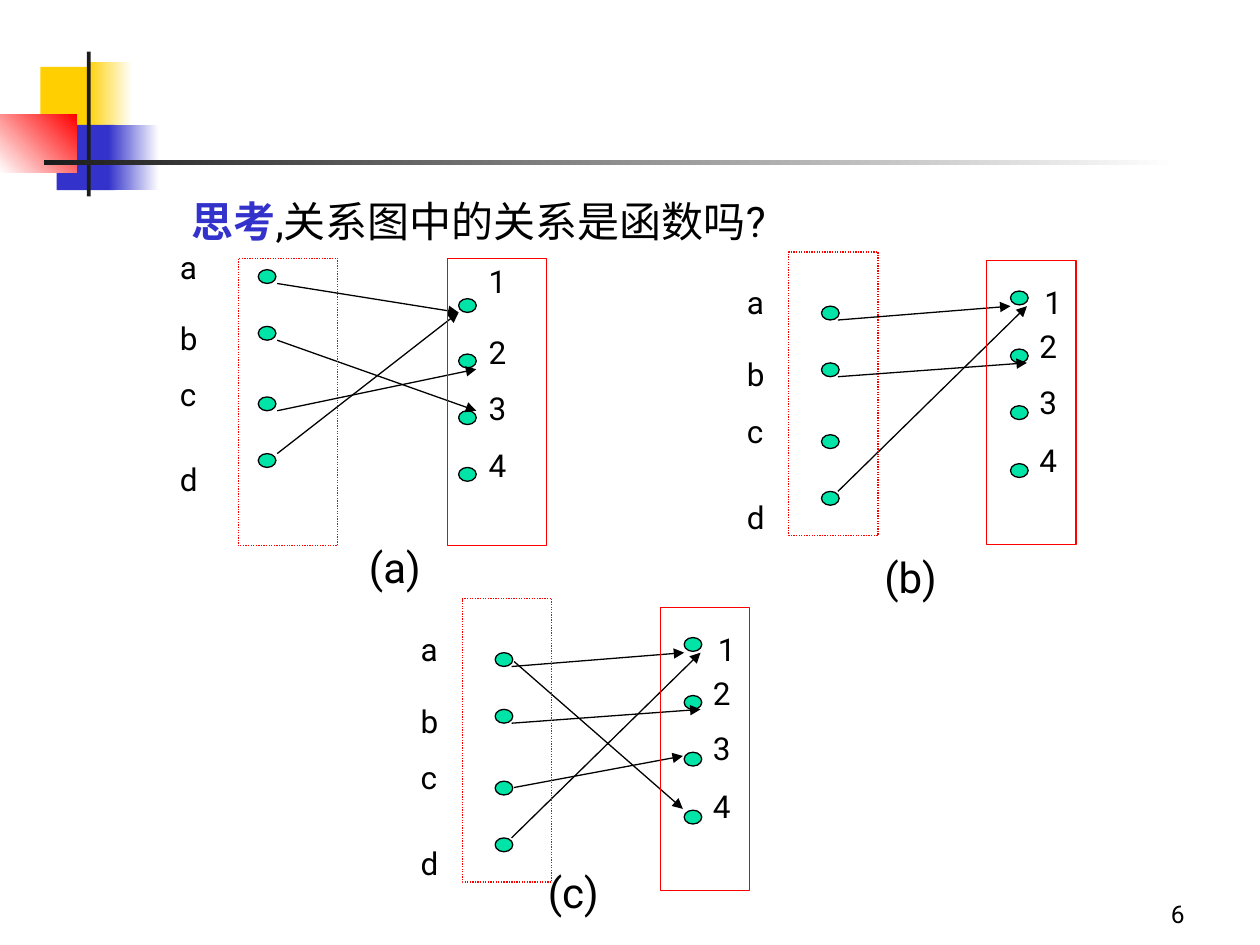
from dataclasses import dataclass

from lxml.etree import SubElement
from pptx import Presentation
from pptx.dml.color import RGBColor
from pptx.enum.dml import MSO_LINE as Dash
from pptx.enum.shapes import MSO_CONNECTOR as Connector, MSO_SHAPE as Shape
from pptx.enum.text import MSO_ANCHOR as Anchor, MSO_AUTO_SIZE as AutoSize, PP_ALIGN as Align
from pptx.oxml.ns import qn
from pptx.util import Pt

EMU_PER_PX = 9144  # 100 px to the inch
BLACK, WHITE, DARK = "000000", "FFFFFF", "1C1C1C"
YELLOW, BLUE, RED, GREEN = "FFCF01", "3333CC", "FF0000", "00E4A8"


def px(*lengths):
    return [length * EMU_PER_PX for length in lengths]


def color(hex_string):
    return RGBColor.from_string(hex_string)


@dataclass
class Diagram:
    frames: list        # left and right outline
    letters: list       # places of a to d
    numbers: list       # places of 1 to 4
    left_dots: list
    right_dots: list
    arrows: list        # x1, y1, x2, y2
    caption: tuple      # left, top, text


class Page:
    font = "Roboto"

    def __init__(self, deck):
        self.slide = deck.slides.add_slide(deck.slide_layouts[5])
        self.shapes = self.slide.shapes

    def run(self, para, text, size, hex_color=BLACK, bold=False):
        span = para.add_run()
        span.text = text
        span.font.name, span.font.size, span.font.bold = self.font, Pt(size), bold
        span.font.color.rgb = color(hex_color)

    def title(self, left, top, width, height, spans):
        box = self.slide.shapes.title
        box.left, box.top, box.width, box.height = px(left, top, width, height)
        box.text_frame.vertical_anchor = Anchor.TOP
        para = box.text_frame.paragraphs[0]
        para.alignment = Align.LEFT
        for text, hex_color, bold in spans:
            self.run(para, text, 24, hex_color, bold)

    def text(self, left, top, width, height, text, size, align=Align.LEFT, anchor=Anchor.TOP):
        box = self.shapes.add_textbox(*px(left, top, width, height))
        frame = box.text_frame
        frame.word_wrap = True
        frame.vertical_anchor = anchor
        frame.auto_size = AutoSize.SHAPE_TO_FIT_TEXT if anchor == Anchor.TOP else AutoSize.NONE
        para = frame.paragraphs[0]
        para.alignment = align
        self.run(para, text, size)

    def shape(self, kind, left, top, width, height, fill=None, line=None, dash=None):
        shape = self.shapes.add_shape(kind, *px(left, top, width, height))
        shape.shadow.inherit = False
        if fill:
            shape.fill.solid()
            shape.fill.fore_color.rgb = color(fill)
        else:
            shape.fill.background()
        if line:
            shape.line.color.rgb = color(line)
            shape.line.width = Pt(0.75)
            if dash:
                shape.line.dash_style = dash
        else:
            shape.line.fill.background()
        return shape

    def gradient(self, left, top, width, height, start, end, angle=0):
        fill = self.shape(Shape.RECTANGLE, left, top, width, height).fill
        fill.gradient()
        fill.gradient_angle = angle
        for stop, position, hex_color in zip(fill.gradient_stops, (0, 1), (start, end)):
            stop.position = position
            stop.color.rgb = color(hex_color)

    def arrow(self, *ends):
        arrow = self.shapes.add_connector(Connector.STRAIGHT, *px(*ends))
        arrow.line.color.rgb = color(BLACK)
        arrow.line.width = Pt(0.75)
        SubElement(arrow.line._get_or_add_ln(), qn("a:tailEnd"), type="triangle")
        SubElement(arrow._element.spPr, qn("a:effectLst"))

    def diagram(self, data, dx=0, dy=0):
        self.shapes = self.slide.shapes.add_group_shape().shapes
        for x, y in data.left_dots + data.right_dots:
            self.shape(Shape.OVAL, x + dx, y + dy, 14, 11, GREEN, BLACK)
        for (x, y), label in zip(data.letters + data.numbers, "abcd1234"):
            self.text(x + dx, y + dy, 56, 40, label, 18)
        for x1, y1, x2, y2 in data.arrows:
            self.arrow(x1 + dx, y1 + dy, x2 + dx, y2 + dy)
        for (x, y, width, height), dash in zip(data.frames, (Dash.ROUND_DOT, None)):
            self.shape(Shape.RECTANGLE, x + dx, y + dy, width, height, None, RED, dash)
        left, top, text = data.caption
        self.text(left, top, 100, 50, text, 24)
        self.shapes = self.slide.shapes


def column(x, *tops):
    return [(x, top) for top in tops]


def main():
    deck = Presentation()
    deck.slide_width, deck.slide_height = px(1000, 750)
    page = Page(deck)

    # Corner decoration and rule
    page.shape(Shape.RECTANGLE, 32, 53, 48, 52, YELLOW)
    page.gradient(69, 49, 36, 52, YELLOW, WHITE)
    page.shape(Shape.RECTANGLE, 45, 99, 46, 52, BLUE)
    page.gradient(86, 99, 40, 52, BLUE, WHITE)
    page.gradient(0, 91, 61, 46, WHITE, RED, 45)
    page.shape(Shape.RECTANGLE, 69, 41, 3, 115, DARK)
    page.gradient(35, 127, 900, 4, DARK, WHITE)

    # Question and page number
    page.title(142, 150, 692, 50, [("思考", BLUE, True), (",关系图中的关系是函数吗?", BLACK, False)])
    page.text(742, 692, 208, 50, "6", 14, Align.RIGHT, Anchor.BOTTOM)

    # Relation (a)
    page.diagram(Diagram(
        frames=[(189, 205, 79, 228), (355, 205, 79, 228)],
        letters=column(133, 192, 248, 293, 360),
        numbers=column(378, 203, 259, 304, 349),
        left_dots=column(205, 214, 259, 315, 360),
        right_dots=column(364, 237, 281, 326, 371),
        arrows=[(220, 225, 364, 248), (220, 270, 378, 326),
                (220, 326, 378, 293), (220, 360, 364, 248)],
        caption=(283, 425, "(a)")))

    # Relation (b)
    relation = Diagram(
        frames=[(626, 200, 71, 225), (783, 207, 71, 225)],
        letters=column(583, 220, 277, 322, 390),
        numbers=[(819, 220)] + column(815, 255, 299, 345),
        left_dots=column(652, 243, 288, 345, 390),
        right_dots=column(802, 231, 277, 322, 368),
        arrows=[(665, 254, 802, 243), (665, 299, 815, 288), (665, 390, 815, 243)],
        caption=(692, 433, "(b)"))
    page.diagram(relation)

    # Relation (c): the same layout moved, with two more arrows
    relation.arrows += [(667, 350, 801, 325), (667, 250, 801, 367)]
    relation.caption = (425, 683, "(c)")
    page.diagram(relation, -259, 275)

    deck.save("out.pptx")


if __name__ == "__main__":
    main()
